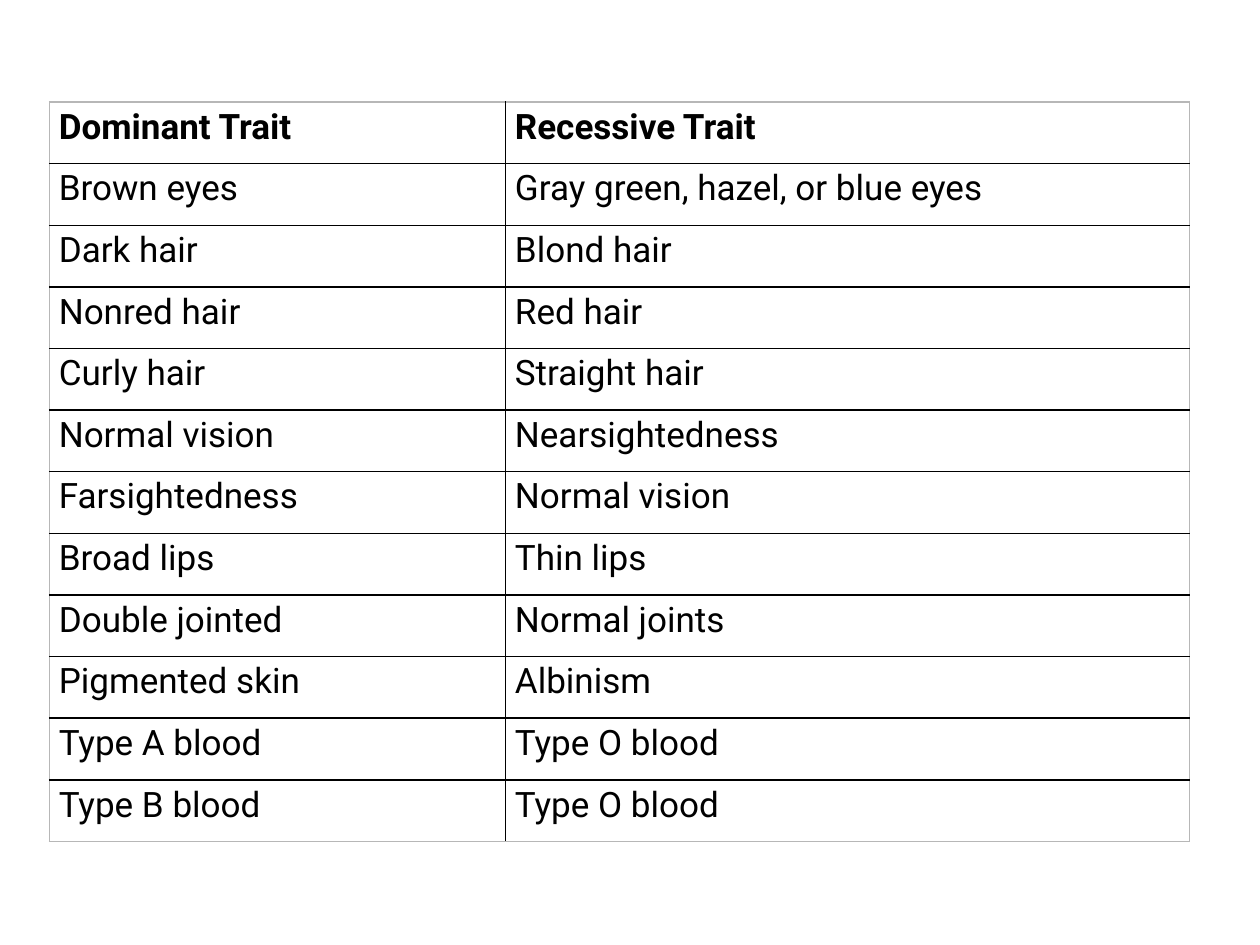
from lxml.etree import SubElement
from pptx import Presentation
from pptx.dml.color import RGBColor
from pptx.oxml.ns import qn
from pptx.util import Pt

BLACK, GRAY, WHITE = "000000", "B7B7B7", "FFFFFF"


def color(hex_string):
    return RGBColor.from_string(hex_string)


def add_border(cell, side, hex_string, width):
    line = SubElement(cell._tc.get_or_add_tcPr(), qn(f"a:ln{side}"), w=str(Pt(width)))
    fill = SubElement(line, qn("a:solidFill"))
    SubElement(fill, qn("a:srgbClr"), val=hex_string)


traits = [
    ("Dominant Trait", "Recessive Trait"),
    ("Brown eyes", "Gray green, hazel, or blue eyes"),
    ("Dark hair", "Blond hair"),
    ("Nonred hair", "Red hair"),
    ("Curly hair", "Straight hair"),
    ("Normal vision", "Nearsightedness"),
    ("Farsightedness", "Normal vision"),
    ("Broad lips", "Thin lips"),
    ("Double jointed", "Normal joints"),
    ("Pigmented skin", "Albinism"),
    ("Type A blood", "Type O blood"),
    ("Type B blood", "Type O blood"),
]
column_widths = [260.7, 391]
row_height = 35.22

# Slide
presentation = Presentation()
presentation.slide_width, presentation.slide_height = Pt(720), Pt(540)
slide = presentation.slides.add_slide(presentation.slide_layouts[6])

# Table grid
row_count, column_count = len(traits), len(column_widths)
table = slide.shapes.add_table(
    row_count, column_count, Pt(28.2), Pt(58.3),
    Pt(sum(column_widths)), Pt(row_height * row_count),
).table
table.first_row = table.horz_banding = False
for column, width in zip(table.columns, column_widths):
    column.width = Pt(width)
for row in table.rows:
    row.height = Pt(row_height)

# Cells: black inner rules, thin gray outer frame
for row_index, row_texts in enumerate(traits):
    for column_index, text in enumerate(row_texts):
        cell = table.cell(row_index, column_index)
        outer_sides = {
            "L": column_index == 0,
            "R": column_index == column_count - 1,
            "T": row_index == 0,
            "B": row_index == row_count - 1,
        }
        for side, is_outer in outer_sides.items():
            add_border(cell, side, GRAY if is_outer else BLACK, 0.75 if is_outer else 1)
        cell.fill.solid()
        cell.fill.fore_color.rgb = color(WHITE)
        cell.margin_left = cell.margin_right = Pt(5.4)
        cell.margin_top = cell.margin_bottom = Pt(2.7)

        cell.text_frame.text = text
        font = cell.text_frame.paragraphs[0].runs[0].font
        font.name, font.size = "Roboto", Pt(20)
        font.bold = row_index == 0
        font.color.rgb = color(BLACK)

presentation.save("out.pptx")
